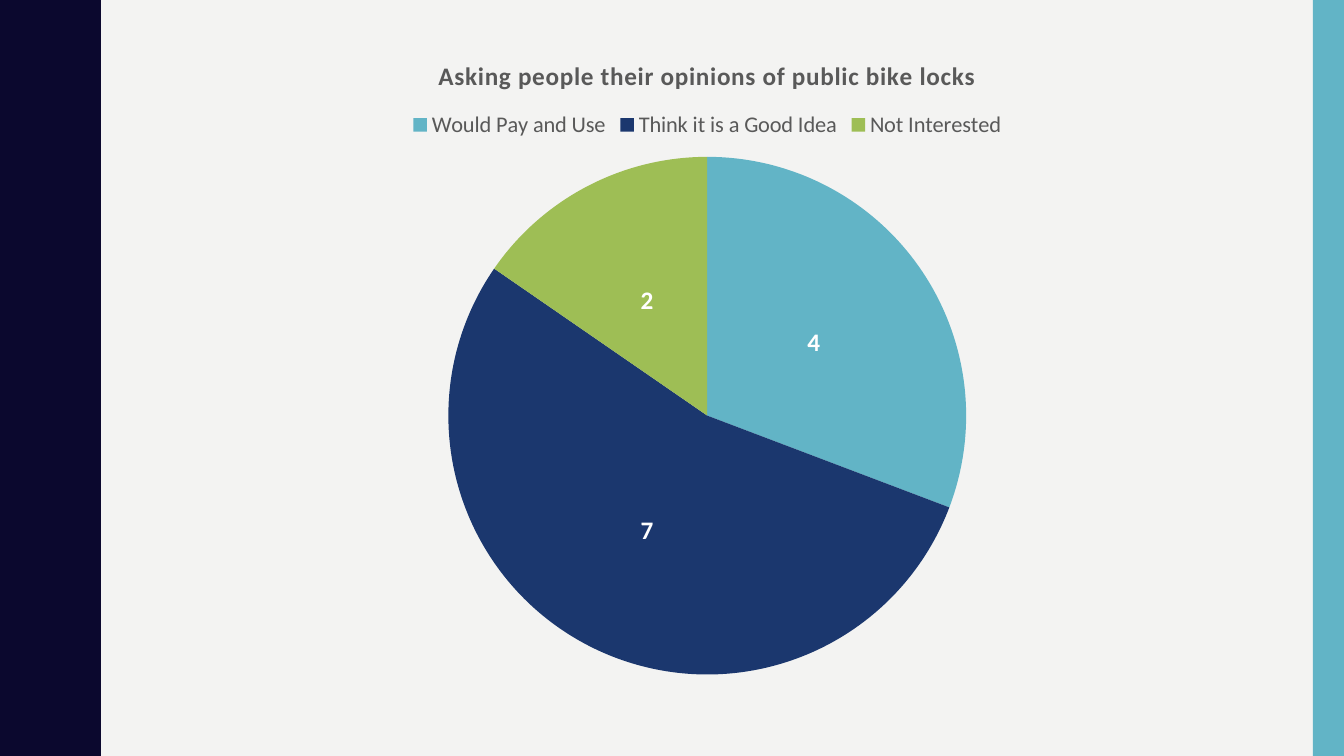
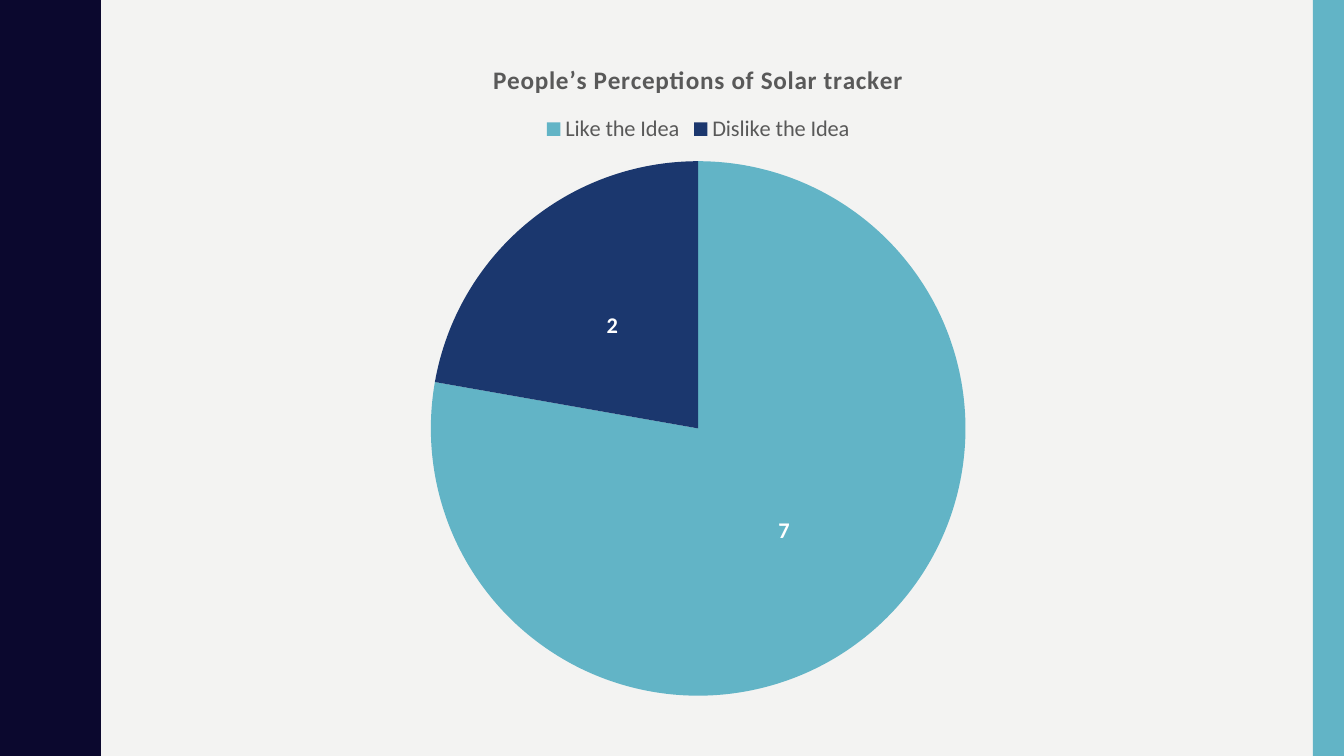
from pptx import Presentation
from pptx import util as u
from pptx.chart.data import CategoryChartData
from pptx.dml.color import RGBColor
from pptx.enum import chart as ch
from pptx.enum import shapes

NAVY = RGBColor(0x0B, 0x08, 0x2E)
TEAL = RGBColor(0x62, 0xB4, 0xC6)
BLUE = RGBColor(0x1B, 0x37, 0x6E)
GREEN = RGBColor(0x9E, 0xBE, 0x55)
GREY = RGBColor(0x59, 0x59, 0x59)
BLACK = RGBColor(0, 0, 0)
WHITE = RGBColor(0xFF, 0xFF, 0xFF)
PAPER = RGBColor(0xF3, 0xF3, 0xF2)
FONT = "Calibri"
WIDTH, HEIGHT = 13.33, 7.5

# Outward half of one wave (x, y); the other half mirrors it
WAVE = [(0.78, 0), (0.78, 0.07), (0.79, 0.14), (0.8, 0.2), (0.81, 0.25),
        (0.83, 0.29), (0.85, 0.33), (0.87, 0.38), (0.89, 0.42), (0.91, 0.46),
        (0.93, 0.5), (0.95, 0.55), (0.96, 0.61), (0.97, 0.68), (0.97, 0.75)]
PERIOD = 1.5


def format_font(font, size, color, bold=False):
    font.name, font.size, font.bold = FONT, u.Pt(size), bold
    font.color.rgb = color


def add_text(tf, text, size=18, color=GREY, bold=False, spacing=0):
    """Write one run; spacing is in hundredths of a point."""
    r = tf.paragraphs[0].add_run()
    r.text = text
    format_font(r.font, size, color, bold)
    r._r.get_or_add_rPr().set("spc", str(spacing))


class Deck:
    slice_colors = (TEAL, BLUE, GREEN)

    def __init__(self):
        self.prs = Presentation()
        self.prs.slide_width = u.Inches(WIDTH)
        self.prs.slide_height = u.Inches(HEIGHT)
        fill = self.prs.slide_master.background.fill
        fill.solid()
        fill.fore_color.rgb = PAPER

    def add_slide(self):
        self.s = self.prs.slides.add_slide(self.prs.slide_layouts[6])
        self.add_wave_band()
        self.add_side_bar()

    def paint(self, sp, color):
        sp.shadow.inherit = False
        sp.fill.solid()
        sp.fill.fore_color.rgb = color
        sp.line.fill.background()

    def add_wave_band(self):
        wave = WAVE + [(x, PERIOD - y) for x, y in WAVE[-2::-1]]
        points = [(x, y + i * PERIOD)
                  for i in range(round(HEIGHT / PERIOD)) for x, y in wave]
        fb = self.s.shapes.build_freeform(0, 0, scale=u.Inches(1))
        fb.add_line_segments(points + [(0, HEIGHT)], close=True)
        self.paint(fb.convert_to_shape(), NAVY)

    def add_side_bar(self, width=0.31):
        sp = self.s.shapes.add_shape(
            shapes.MSO_SHAPE.RECTANGLE, u.Inches(WIDTH - width), 0,
            u.Inches(width), u.Inches(HEIGHT))
        self.paint(sp, TEAL)

    def add_pie(self, title, values, box, label_size):
        data = CategoryChartData()
        data.categories = list(values)
        data.add_series("Series 1", list(values.values()))
        chart = self.s.shapes.add_chart(
            ch.XL_CHART_TYPE.PIE, *map(u.Inches, box), data).chart
        format_font(chart.font, 10, BLACK)

        # Title and legend
        chart.has_title = True
        add_text(chart.chart_title.text_frame, title, bold=True, spacing=50)
        chart.chart_title.include_in_layout = False
        chart.has_legend = True
        chart.legend.position = ch.XL_LEGEND_POSITION.TOP
        chart.legend.include_in_layout = False
        format_font(chart.legend.font, 16, GREY)

        # Slices and their values
        plot = chart.plots[0]
        plot.vary_by_categories = True
        for i, color in enumerate(self.slice_colors[:len(values)]):
            fmt = plot.series[0].points[i].format
            fmt.fill.solid()
            fmt.fill.fore_color.rgb = color
            fmt.line.fill.background()
        plot.has_data_labels = True
        labels = plot.data_labels
        labels.show_value = True
        labels.show_percentage = False
        labels.position = ch.XL_LABEL_POSITION.CENTER
        format_font(labels.font, label_size, WHITE, bold=True)


def main():
    deck = Deck()

    # Bike lock survey
    deck.add_slide()
    deck.add_pie("Asking people their opinions of public bike locks",
                 {"Would Pay and Use": 4, "Think it is a Good Idea": 7,
                  "Not Interested": 2},
                 (1.45, 0.35, 11.13, 6.48), label_size=18)

    # Solar tracker survey
    deck.add_slide()
    deck.add_pie("People’s Perceptions of Solar tracker",
                 {"Like the Idea": 7, "Dislike the Idea": 2},
                 (1.36, 0.39, 11.13, 6.65), label_size=16)

    deck.prs.save("out.pptx")


if __name__ == "__main__":
    main()
